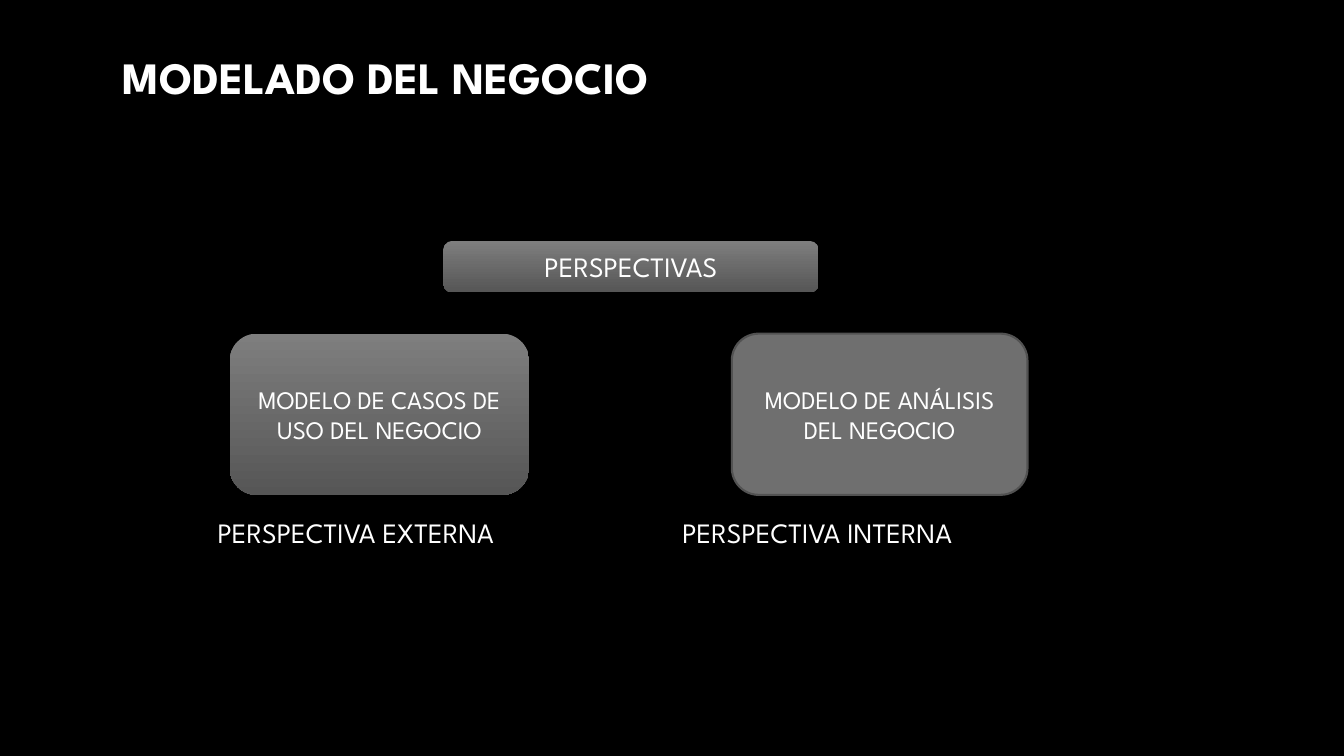
from dataclasses import dataclass

from pptx import Presentation
from pptx import util as u
from pptx.dml.color import RGBColor
from pptx.enum import shapes, text

WIDTH, HEIGHT = 13.33, 7.5


@dataclass(frozen=True)
class Theme:
    font: str = "League Spartan"
    background: str = "000000"
    ink: str = "FFFFFF"
    gradient: tuple = ("7E7E7E", "565656")
    flat: str = "6F6F6F"
    outline: str = "525252"
    title: int = 32
    heading: int = 20
    model: int = 18


THEME = Theme()


def color(code):
    return RGBColor.from_string(code)


def area(left, top, width, height):
    """Turn percentages of the slide into lengths."""
    return (u.Inches(left * WIDTH / 100), u.Inches(top * HEIGHT / 100),
            u.Inches(width * WIDTH / 100), u.Inches(height * HEIGHT / 100))


def write(holder, words, size, align, bold=False):
    frame = holder.text_frame
    frame.word_wrap = True
    frame.vertical_anchor = text.MSO_ANCHOR.MIDDLE
    paragraph = frame.paragraphs[0]
    paragraph.text = words
    paragraph.alignment = align
    font = paragraph.font
    font.name, font.size, font.bold = THEME.font, u.Pt(size), bold
    font.color.rgb = color(THEME.ink)


def add_label(slide, words, place, size, bold=False):
    label = slide.shapes.add_textbox(*area(*place))
    write(label, words, size, text.PP_ALIGN.LEFT, bold)


def add_card(slide, words, place, size, flat=False):
    card = slide.shapes.add_shape(
        shapes.MSO_SHAPE.ROUNDED_RECTANGLE, *area(*place))
    card.shadow.inherit = False
    if flat:
        card.fill.solid()
        card.fill.fore_color.rgb = color(THEME.flat)
        card.line.color.rgb = color(THEME.outline)
        card.line.width = u.Pt(1.5)
    else:
        card.fill.gradient()
        card.fill.gradient_angle = 270
        for stop, shade in zip(card.fill.gradient_stops, THEME.gradient):
            stop.color.rgb = color(shade)
        card.line.fill.background()
    write(card, words, size, text.PP_ALIGN.CENTER)


def main():
    deck = Presentation()
    deck.slide_width, deck.slide_height = u.Inches(WIDTH), u.Inches(HEIGHT)
    slide = deck.slides.add_slide(deck.slide_layouts[6])
    slide.background.fill.solid()
    slide.background.fill.fore_color.rgb = color(THEME.background)

    # Title and topic
    add_label(slide, "MODELADO DEL NEGOCIO", (8.4, 4, 81.25, 12.25),
              THEME.title, bold=True)
    add_card(slide, "PERSPECTIVAS", (33, 31.87, 27.9, 6.8), THEME.heading)

    # Each model with the perspective it gives
    perspectives = [
        ("MODELO DE CASOS DE USO DEL NEGOCIO", 17.1, 22.27, False,
         "PERSPECTIVA EXTERNA", 15.45),
        ("MODELO DE ANÁLISIS DEL NEGOCIO", 54.45, 22, True,
         "PERSPECTIVA INTERNA", 50.03),
    ]
    for model, left, width, flat, caption, caption_left in perspectives:
        add_card(slide, model, (left, 44.13, width, 21.33), THEME.model, flat)
        add_label(slide, caption, (caption_left, 67.1, 25, 6.67),
                  THEME.heading)

    deck.save("out.pptx")


if __name__ == "__main__":
    main()
